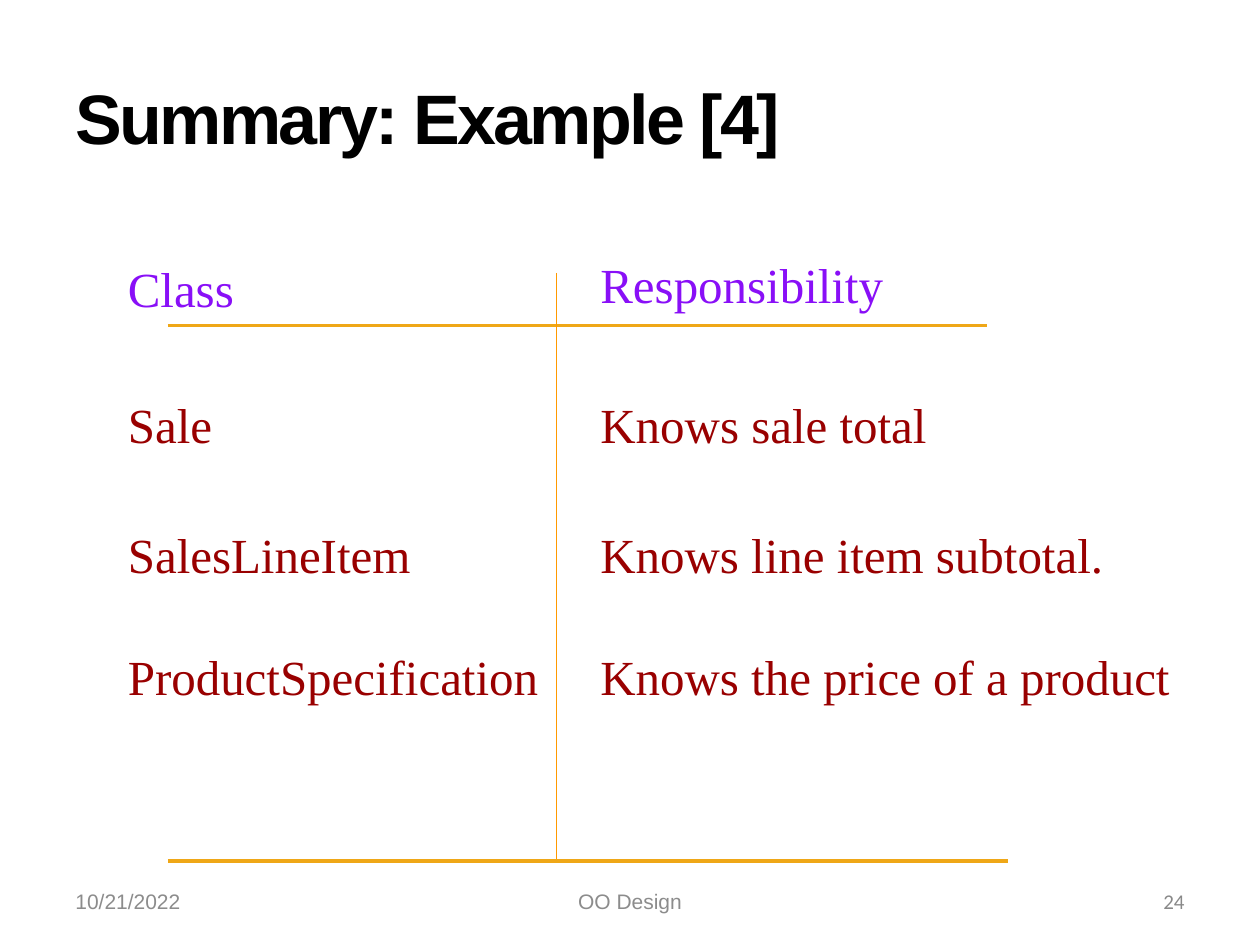
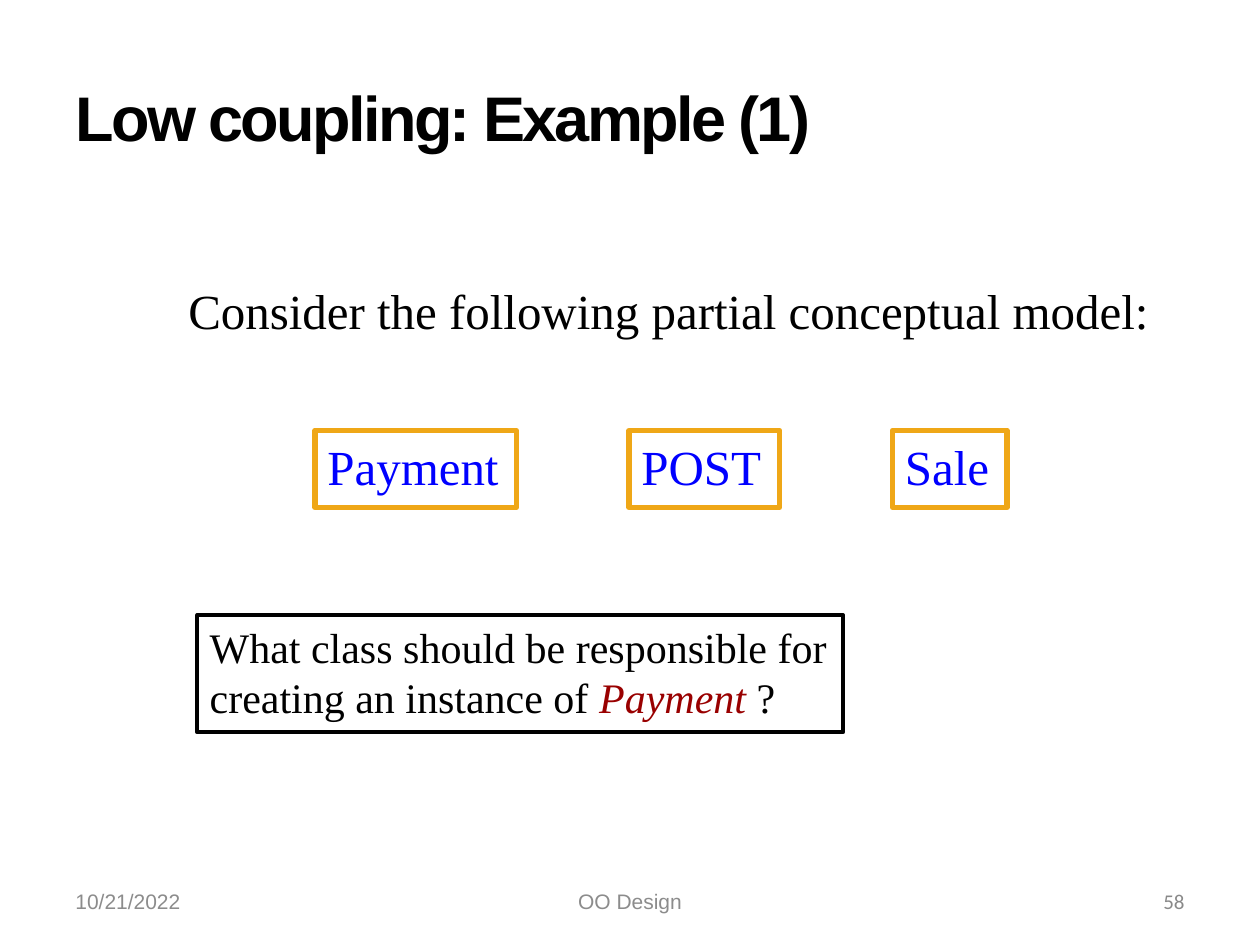
from lxml.etree import SubElement
from pptx import Presentation
from pptx.dml.color import RGBColor
from pptx.enum.shapes import MSO_CONNECTOR, MSO_SHAPE
from pptx.enum.text import MSO_ANCHOR, MSO_AUTO_SIZE, PP_ALIGN
from pptx.oxml.ns import qn
from pptx.util import Pt

BLACK = RGBColor(0x00, 0x00, 0x00)
GOLD = RGBColor(0xEF, 0xA7, 0x17)
ORANGE = RGBColor(0xFF, 0x99, 0x00)
PURPLE = RGBColor(0x89, 0x0F, 0xF7)
DARK_RED = RGBColor(0x99, 0x00, 0x00)
BLUE = RGBColor(0x00, 0x00, 0xFF)
GRAY = RGBColor(0x8C, 0x8C, 0x8C)
NUMBER_GRAY = RGBColor(0x89, 0x89, 0x89)

TITLE = {"name": "Arial", "bold": True}
FOOTER = {"name": "Arial", "size": Pt(12), "color": GRAY}
NUMBER = {"name": "Calibri", "size": Pt(12), "color": NUMBER_GRAY}
BODY = {"name": "Times New Roman", "size": Pt(28), "color": BLACK}
HEADING = BODY | {"color": PURPLE}
ENTRY = BODY | {"color": DARK_RED}
CLASS_NAME = BODY | {"color": BLUE}
QUESTION = BODY | {"size": Pt(24)}
EMPHASIS = QUESTION | {"color": DARK_RED, "italic": True}

DATE = "10/21/2022"
COURSE = "OO Design"

# (text, top, width) for each of the two columns
RESPONSIBILITIES = [
    (("Class", 144, 75), ("Responsibility", 142, 176), HEADING),
    (("Sale", 222, 63), ("Knows sale total", 222, 201), ENTRY),
    (("SalesLineItem", 296, 176), ("Knows line item subtotal.", 296, 302), ENTRY),
    (("ProductSpecification", 366, 249), ("Knows the price of a product", 366, 340), ENTRY),
]
COLUMN_LEFTS = (66, 336)
RULES = [  # start, end, colour, weight
    ((96, 186), (564, 186), GOLD, 2.25),
    ((318, 156), (318, 492), ORANGE, 1),
    ((96, 492), (576, 492), GOLD, 2.25),
]

INTRO = "Consider the following partial conceptual model:"
CLASSES = [("Payment", 180, 115), ("POST", 359.5, 86), ("Sale", 510, 65.5)]
QUESTION_LINES = [
    [("What class should be responsible for", QUESTION)],
    [("creating an instance of ", QUESTION), ("Payment ", EMPHASIS), ("?", QUESTION)],
]
LINE_HEIGHT = 41


def set_font(font, formats):
    for key, value in formats.items():
        if key == "color":
            font.color.rgb = value
        else:
            setattr(font, key, value)


def write(sp, lines, align=PP_ALIGN.LEFT, anchor=MSO_ANCHOR.TOP, wrap=False):
    """Fill a shape with lines, each a list of (text, formats) runs."""
    tf = sp.text_frame
    for key, value in {"auto_size": MSO_AUTO_SIZE.NONE, "word_wrap": wrap,
                       "vertical_anchor": anchor}.items():
        setattr(tf, key, value)
    for i, line in enumerate(lines):
        p = tf.add_paragraph() if i else tf.paragraphs[0]
        p.alignment = align
        for text, formats in line:
            r = p.add_run()
            r.text = text
            set_font(r.font, formats)


def add_text(s, box, text, formats, **layout):
    sp = s.shapes.add_textbox(*map(Pt, box))
    write(sp, [[(text, formats)]], **layout)


def add_frame(s, box, lines, color, weight):
    sp = s.shapes.add_shape(MSO_SHAPE.RECTANGLE, *map(Pt, box))
    sp.shadow.inherit = False
    sp.fill.background()
    sp.line.color.rgb = color
    sp.line.width = Pt(weight)
    write(sp, lines)


def add_rule(s, start, end, color, weight):
    line = s.shapes.add_connector(MSO_CONNECTOR.STRAIGHT, *map(Pt, start + end))
    line.line.color.rgb = color
    line.line.width = Pt(weight)
    SubElement(line._element.spPr, qn("a:effectLst"))


def add_slide(prs, title, size, number):
    s = prs.slides.add_slide(prs.slide_layouts[5])
    sp = s.shapes.title
    sp.left, sp.top, sp.width, sp.height = map(Pt, (36, 21.6, 648, 90))
    write(sp, [[(title, TITLE | {"size": Pt(size), "color": BLACK})]],
          anchor=MSO_ANCHOR.MIDDLE, wrap=True)
    sp.text_frame.paragraphs[0].runs[0]._r.get_or_add_rPr().set("spc", "-150")
    for left, width, text, formats, align in (
        (36, 168, DATE, FOOTER, PP_ALIGN.LEFT),
        (246, 228, COURSE, FOOTER, PP_ALIGN.CENTER),
        (516, 168, str(number), NUMBER, PP_ALIGN.RIGHT),
    ):
        add_text(s, (left, 500.5, width, 28.75), text, formats,
                 align=align, anchor=MSO_ANCHOR.MIDDLE, wrap=True)
    return s


def build_summary(prs):
    s = add_slide(prs, "Summary: Example [4]", 40, 24)
    for rule in RULES:
        add_rule(s, *rule)
    for *cells, formats in RESPONSIBILITIES:
        for left, (text, top, width) in zip(COLUMN_LEFTS, cells):
            add_text(s, (left, top, width, LINE_HEIGHT), text, formats)


def build_coupling(prs):
    s = add_slide(prs, "Low coupling: Example (1)", 36, 58)
    for name, left, width in CLASSES:
        add_frame(s, (left, 246, width, 44), [[(name, CLASS_NAME)]], GOLD, 3)
    add_text(s, (100.5, 157, 564, LINE_HEIGHT), INTRO, BODY)
    add_frame(s, (112.75, 351.5, 369, 67), QUESTION_LINES, BLACK, 2.25)


def main():
    prs = Presentation()
    prs.slide_width, prs.slide_height = Pt(720), Pt(540)
    build_summary(prs)
    build_coupling(prs)
    prs.save("out.pptx")


if __name__ == "__main__":
    main()
